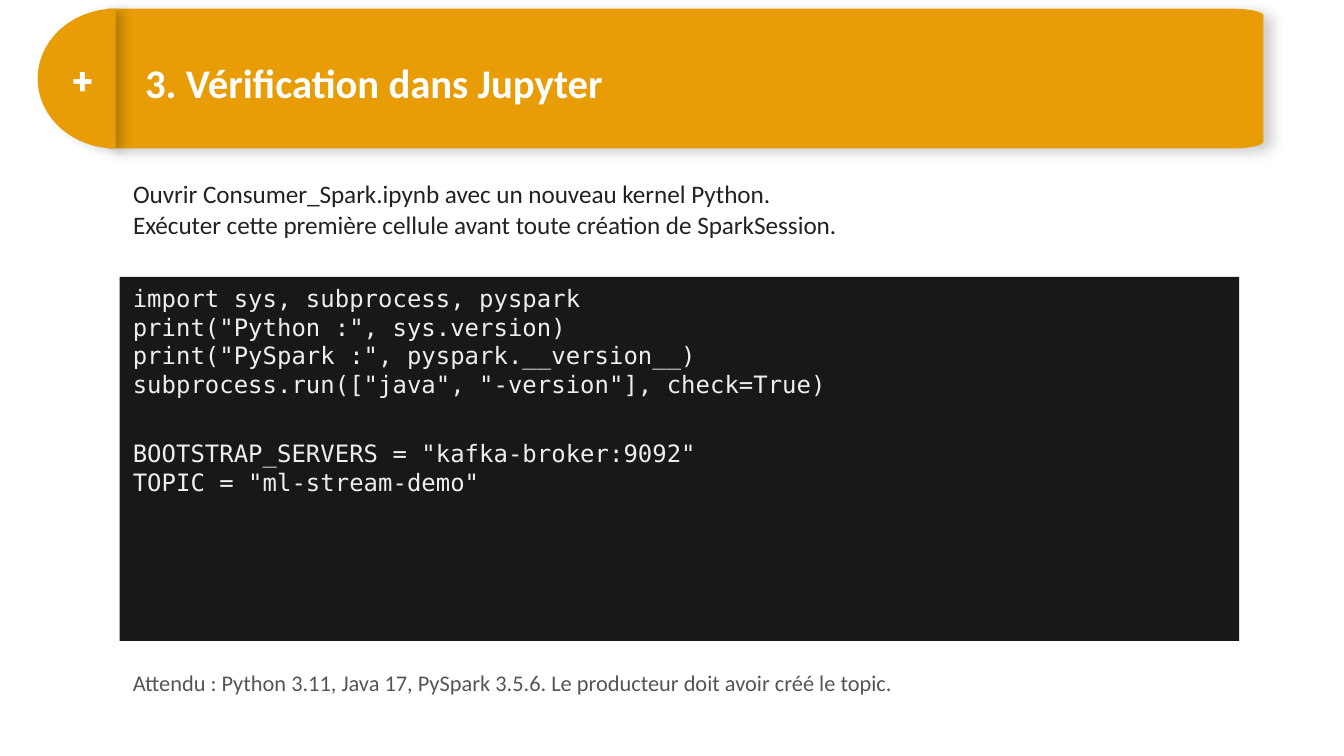
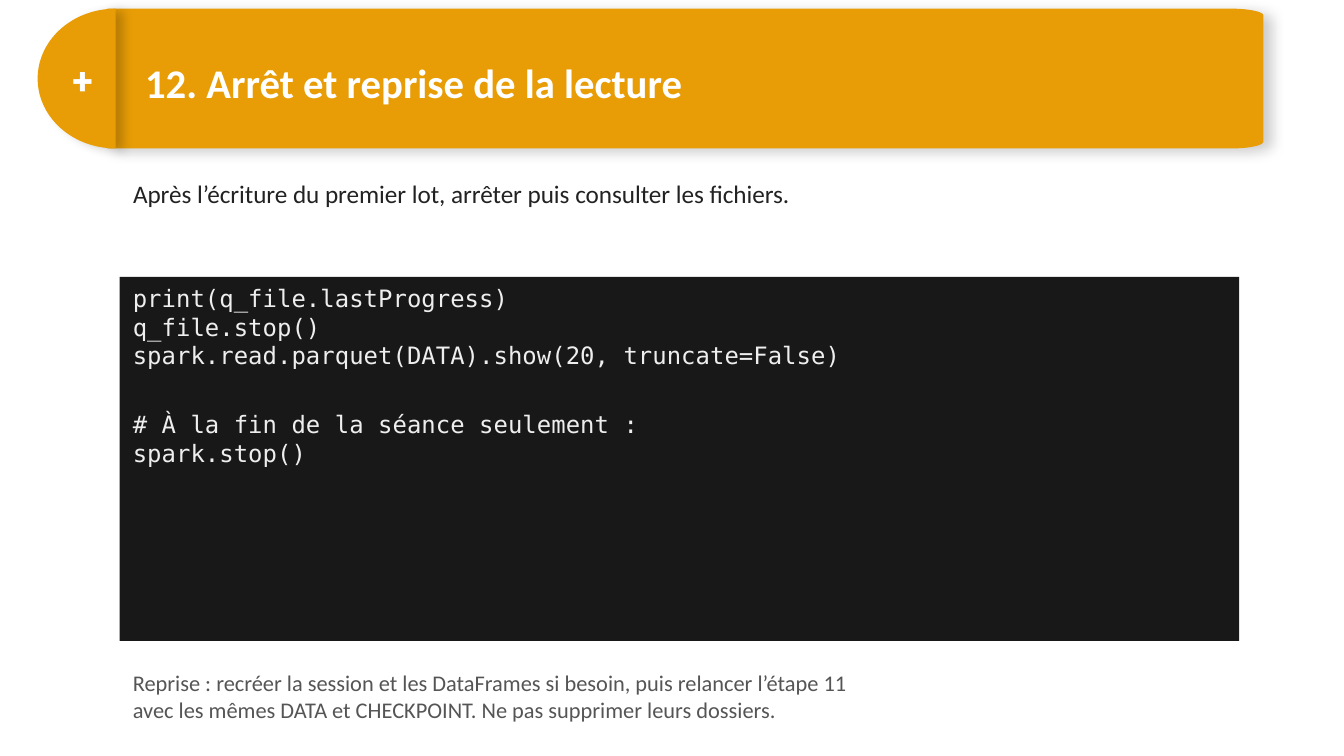
"""Build two Spark lab slides with a shared orange title band."""
import math
from lxml import etree
from pptx import Presentation, util as u
from pptx.dml.color import RGBColor
from pptx.enum import shapes, text
from pptx.oxml import parse_xml
from pptx.oxml.ns import nsdecls, qn

PX = 4572
ORANGE = RGBColor(0xE8, 0x9D, 0x06)
WHITE = RGBColor(0xFF, 0xFF, 0xFF)
INK = RGBColor(0x22, 0x22, 0x22)
CODE_FILL = RGBColor(0x18, 0x18, 0x18)
CODE_INK = RGBColor(0xEE, 0xEE, 0xEE)
GREY = RGBColor(0x55, 0x55, 0x55)
CODE_GAP = u.Pt(21.7)


def arc(center_x, center_y, radius_x, radius_y, start, stop):
    """Return points along an elliptical arc, angles in degrees."""
    angles = [math.radians(start + (stop - start) * step / 40) for step in range(41)]
    return [(center_x + radius_x * math.cos(angle), center_y + radius_y * math.sin(angle))
            for angle in angles]


def write(shape, box, content, size, font, color, bold=False, anchor=text.MSO_ANCHOR.TOP):
    """Place a shape and write one paragraph per line; an empty line makes a gap."""
    shape.left, shape.top, shape.width, shape.height = [value * PX for value in box]
    frame = shape.text_frame
    frame.word_wrap = True
    frame.auto_size = text.MSO_AUTO_SIZE.NONE
    frame.vertical_anchor = anchor
    for index, block in enumerate(content.split("\n\n")):
        for number, line in enumerate(block.split("\n")):
            first = index == number == 0
            paragraph = frame.paragraphs[0] if first else frame.add_paragraph()
            properties = paragraph._p.get_or_add_pPr()
            properties.set("marL", "0")
            properties.set("indent", "0")
            etree.SubElement(properties, qn("a:buNone"))
            paragraph.alignment = text.PP_ALIGN.LEFT
            paragraph.space_before = CODE_GAP if index and number == 0 else u.Pt(0)
            run = paragraph.add_run()
            run.text = line
            run.font.size = u.Pt(size)
            run.font.name = font
            run.font.bold = bold
            run.font.color.rgb = color


BAND = ([(160, 13), (160, 221), (1832, 221)] + arc(1832, 211, 48, 10, 90, 0)
        + arc(1832, 23, 48, 10, 0, -90))
CAP = arc(172, 117, 116, 104, 270, 90)
OUTLINES = [(BAND, 6.8, 20), (CAP, 5.6, 19)]

SLIDES = [
    ("3. Vérification dans Jupyter",
     "Ouvrir Consumer_Spark.ipynb avec un nouveau kernel Python.\n"
     "Exécuter cette première cellule avant toute création de SparkSession.",
     """import sys, subprocess, pyspark
print("Python :", sys.version)
print("PySpark :", pyspark.__version__)
subprocess.run(["java", "-version"], check=True)

BOOTSTRAP_SERVERS = "kafka-broker:9092"
TOPIC = "ml-stream-demo\"""",
     "Attendu : Python 3.11, Java 17, PySpark 3.5.6. Le producteur doit avoir créé le topic."),
    ("12. Arrêt et reprise de la lecture",
     "Après l’écriture du premier lot, arrêter puis consulter les fichiers.",
     """print(q_file.lastProgress)
q_file.stop()
spark.read.parquet(DATA).show(20, truncate=False)

# À la fin de la séance seulement :
spark.stop()""",
     "Reprise : recréer la session et les DataFrames si besoin, puis relancer l’étape 11\n"
     "avec les mêmes DATA et CHECKPOINT. Ne pas supprimer leurs dossiers."),
]

presentation = Presentation()
presentation.slide_width = 2000 * PX
presentation.slide_height = 1125 * PX

for heading, intro, code, note in SLIDES:
    slide = presentation.slides.add_slide(presentation.slide_layouts[1])
    title, body = slide.shapes.title, slide.placeholders[1]

    for points, blur, direction in OUTLINES:
        scaled = [(x * PX, y * PX) for x, y in points]
        builder = slide.shapes.build_freeform(*scaled[0])
        builder.add_line_segments(scaled[1:], close=True)
        shape = builder.convert_to_shape()
        shape.fill.solid()
        shape.fill.fore_color.rgb = ORANGE
        shape.line.fill.background()
        shape.shadow.inherit = False
        shape.element.spPr.find(qn("a:effectLst")).append(parse_xml(
            f'<a:outerShdw {nsdecls("a")} blurRad="{u.Pt(blur)}" dist="{u.Pt(4.5)}" '
            f'dir="{direction * 60000}" algn="tl" rotWithShape="0">'
            '<a:srgbClr val="000000"><a:alpha val="20000"/></a:srgbClr></a:outerShdw>'))

    plus, panel = [slide.shapes.add_shape(shapes.MSO_SHAPE.RECTANGLE, 0, 0, PX, PX)
                   for _ in range(2)]
    for shape, fill in ((plus, ORANGE), (panel, CODE_FILL)):
        shape.fill.solid()
        shape.fill.fore_color.rgb = fill
        shape.line.fill.background()
        shape.shadow.inherit = False
    plus.text_frame.margin_top = plus.text_frame.margin_bottom = 20 * PX
    write(plus, (88, 76, 72, 84), "+", 20, "Roboto", WHITE, True, text.MSO_ANCHOR.MIDDLE)

    for placeholder in (title, body):
        slide.shapes._spTree.append(placeholder.element)
    write(title, (196, 76, 1646, 108), heading, 21.8, "Calibri", WHITE, True)
    write(body, (178, 256, 1666, 140), intro, 13.5, "Calibri", INK)
    write(panel, (178, 412, 1666, 542), code, 12.8, "DejaVu Sans Mono", CODE_INK)
    footnote = slide.shapes.add_textbox(0, 0, PX, PX)
    write(footnote, (178, 986, 1688, 112), note, 12, "Calibri", GREY)

presentation.save("out.pptx")
